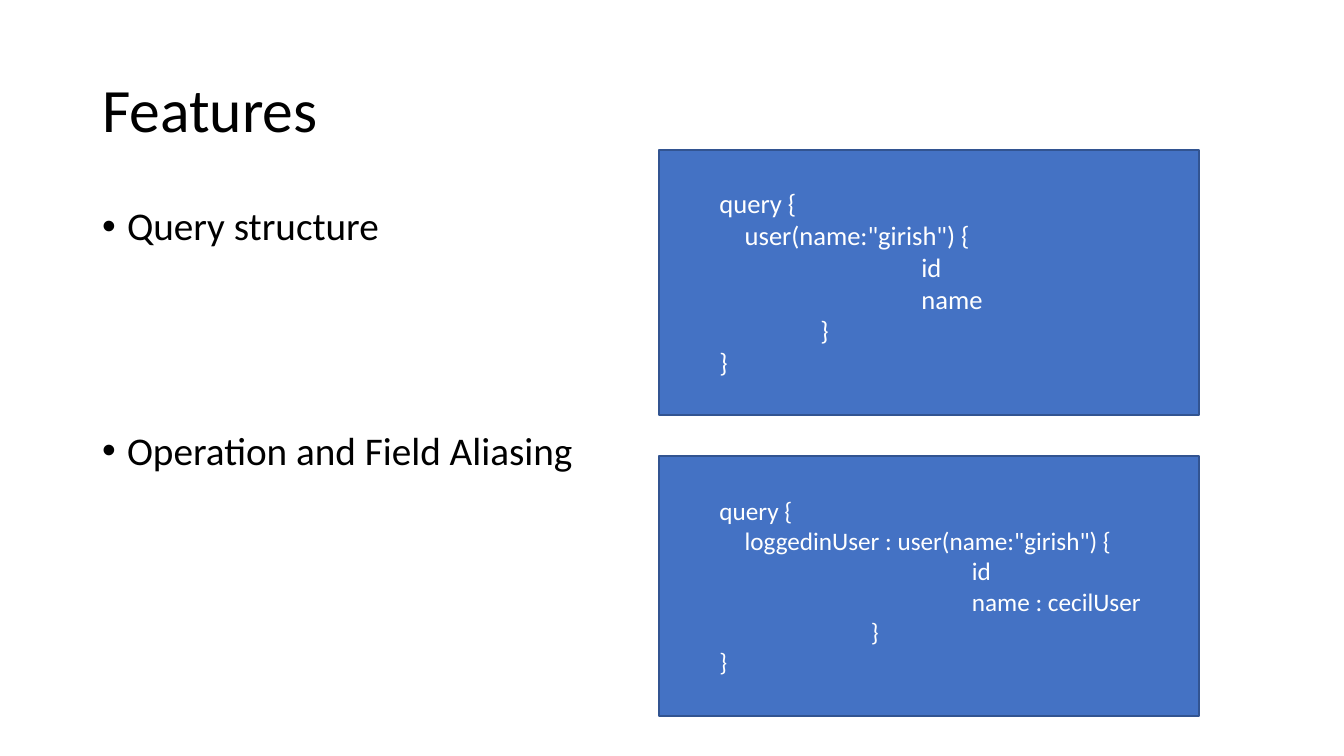
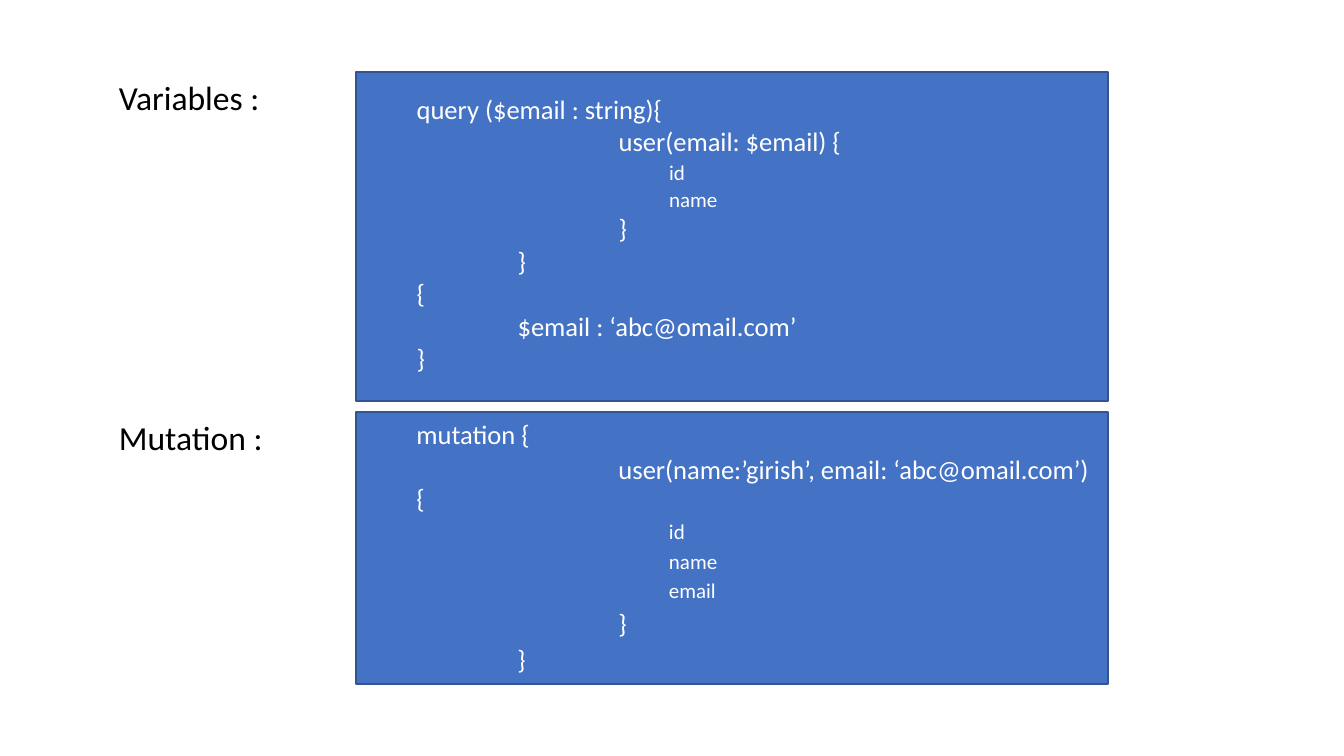
from dataclasses import dataclass

from lxml import etree
from pptx import Presentation
from pptx.dml.color import RGBColor
from pptx.enum import shapes, text
from pptx.oxml import ns
from pptx.util import Pt

PIXEL = 914400 / 100.8


@dataclass(frozen=True)
class Theme:
    font: str = "Calibri"
    ink: RGBColor = RGBColor(0, 0, 0)
    code_ink: RGBColor = RGBColor(255, 255, 255)
    panel: RGBColor = RGBColor(0x44, 0x72, 0xC4)
    edge: RGBColor = RGBColor(0x32, 0x54, 0x91)
    title: int = 44
    bullet: int = 28
    label: int = 24
    code: int = 19
    code_compact: int = 18
    code_field: int = 15
    tab: int = 101


THEME = Theme()


def px(length):
    return round(length * PIXEL)


def place(shape, box):
    shape.left, shape.top, shape.width, shape.height = map(px, box)


def style(paragraph, size, color, leading=1.0, before=0):
    paragraph.alignment = text.PP_ALIGN.LEFT
    paragraph.line_spacing = leading
    paragraph.space_before = Pt(before)
    paragraph.font.name = THEME.font
    paragraph.font.size = Pt(size)
    paragraph.font.color.rgb = color


def indent(paragraph, margin, first=0, bullet=None):
    props = paragraph._p.get_or_add_pPr()
    props.set("marL", str(px(margin)))
    props.set("indent", str(px(first)))
    mark = etree.SubElement(props, ns.qn("a:buChar" if bullet else "a:buNone"))
    if bullet:
        mark.set("char", bullet)


def add_lines(frame, lines):
    for index, line in enumerate(lines):
        paragraph = frame.add_paragraph() if index else frame.paragraphs[0]
        paragraph.text = line
        yield paragraph


def fill_title(title, box, wording):
    place(title, box)
    frame = title.text_frame
    frame.auto_size = text.MSO_AUTO_SIZE.NONE
    frame.vertical_anchor = text.MSO_ANCHOR.MIDDLE
    frame.text = wording
    style(frame.paragraphs[0], THEME.title, THEME.ink, 0.9)


def fill_bullets(body, box, items, gap):
    place(body, box)
    frame = body.text_frame
    frame.auto_size = text.MSO_AUTO_SIZE.NONE
    for index, paragraph in enumerate(add_lines(frame, items)):
        indent(paragraph, 25, -25, "•")
        style(paragraph, THEME.bullet, THEME.ink, 0.9, gap if index else 10)


def fill_code(panel, box, lines, size=THEME.code, leading=1.0, before=0, fields=()):
    place(panel, box)
    panel.shadow.inherit = False
    panel.fill.solid()
    panel.fill.fore_color.rgb = THEME.panel
    panel.line.color.rgb = THEME.edge
    panel.line.width = Pt(1)
    frame = panel.text_frame
    frame.word_wrap = True
    frame.auto_size = text.MSO_AUTO_SIZE.NONE
    frame.vertical_anchor = text.MSO_ANCHOR.MIDDLE
    wording = [line for _, line in lines]
    for (tabs, line), paragraph in zip(lines, add_lines(frame, wording)):
        margin = THEME.tab / 2
        indent(paragraph, margin, tabs * THEME.tab - margin)
        line_size = THEME.code_field if line in fields else size
        style(paragraph, line_size, THEME.code_ink, leading, before)


def add_panel(slide):
    return slide.shapes.add_shape(shapes.MSO_SHAPE.RECTANGLE, 0, 0, 0, 0)


def add_label(slide, box, wording):
    label = slide.shapes.add_textbox(*map(px, box))
    frame = label.text_frame
    frame.word_wrap = False
    frame.auto_size = text.MSO_AUTO_SIZE.SHAPE_TO_FIT_TEXT
    frame.text = wording
    style(frame.paragraphs[0], THEME.label, THEME.ink)


def build_features(slide):
    title, body = slide.placeholders
    fill_title(title, (92, 40, 1159, 146), "Features")
    fill_bullets(body, (92, 202, 1159, 480),
                 ["Query structure", "Operation and Field Aliasing"], 130)
    fill_code(add_panel(slide), (659, 150, 540, 265), [
        (0.5, "query {"),
        (0.75, 'user(name:"girish") {'),
        (2.5, "id"),
        (2.5, "name"),
        (1.5, "}"),
        (0.5, "}"),
    ])
    fill_code(add_panel(slide), (659, 456, 540, 260), [
        (0.5, "query {"),
        (0.75, 'loggedinUser : user(name:"girish") {'),
        (3, "id"),
        (3, "name : cecilUser"),
        (2, "}"),
        (0.5, "}"),
    ], THEME.code_compact)


def build_operations(slide):
    title, body = slide.placeholders
    title.element.getparent().remove(title.element)
    fields = ("id", "name", "email")
    variables_top, mutation_top = 72, 412
    fill_code(body, (356, variables_top, 752, 329), [
        (0.5, "query ($email : string){"),
        (2.5, "user(email: $email) {"),
        (3, "id"),
        (3, "name"),
        (2.5, "}"),
        (1.5, "}"),
        (0.5, "{"),
        (1.5, "$email : ‘abc@omail.com’"),
        (0.5, "}"),
    ], leading=0.8, before=5, fields=fields)
    add_label(slide, (109, variables_top, 162, 50), "Variables :")
    fill_code(add_panel(slide), (356, mutation_top, 752, 272), [
        (0.5, "mutation {"),
        (2.5, "user(name:’girish’, email: ‘abc@omail.com’) {"),
        (3, "id"),
        (3, "name"),
        (3, "email"),
        (2.5, "}"),
        (1.5, "}"),
    ], leading=0.9, before=5, fields=fields)
    add_label(slide, (109, mutation_top, 165, 50), "Mutation :")


deck = Presentation()
deck.slide_width, deck.slide_height = px(1344), px(756)
for build in (build_features, build_operations):
    build(deck.slides.add_slide(deck.slide_layouts[1]))
deck.save("out.pptx")
